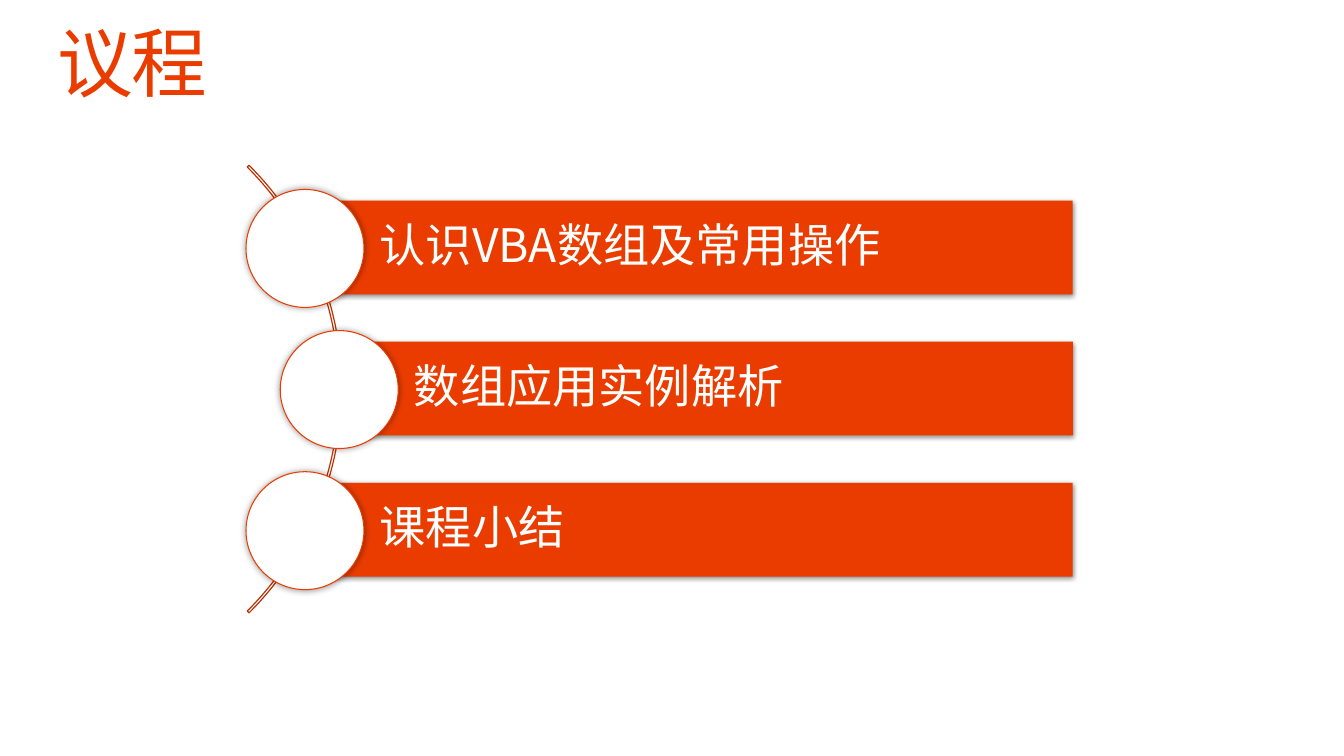
from lxml import etree
from pptx import Presentation
from pptx.dml.color import RGBColor
from pptx.enum.shapes import MSO_SHAPE
from pptx.enum.text import MSO_ANCHOR, PP_ALIGN
from pptx.oxml.ns import qn
from pptx.util import Inches, Pt

RECTANGLE = MSO_SHAPE.RECTANGLE
OVAL = MSO_SHAPE.OVAL
BLOCK_ARC = MSO_SHAPE.BLOCK_ARC
MIDDLE = MSO_ANCHOR.MIDDLE
LEFT = PP_ALIGN.LEFT

ORANGE = "EB3C00"
DARK_ORANGE = "BC3000"
WHITE = "FFFFFF"
BLACK = "000000"
TITLE_FONT = "Lato"
BODY_FONT = "Noto Sans CJK SC"

TOPICS = ["认识VBA数组及常用操作", "数组应用实例解析", "课程小结"]
TOPIC_STEP = 1.4
CIRCLE_LEFTS = [2.44, 2.78, 2.44]
CIRCLE_TOP = 1.88
CIRCLE_SIZE = 1.17
BAR_TOP = 1.99
BAR_RIGHT = 10.64
BAR_HEIGHT = 0.93


def color(value):
    return RGBColor.from_string(value)


class AgendaPage:
    def __init__(self, deck):
        self.page = deck.slides.add_slide(deck.slide_layouts[6])

    def label(self, shape, text, font, size, fill, insets, spacing=0):
        frame = shape.text_frame
        frame.word_wrap = True
        frame.vertical_anchor = MIDDLE
        (frame.margin_left, frame.margin_top,
         frame.margin_right, frame.margin_bottom) = map(Inches, insets)
        para = frame.paragraphs[0]
        para.text = text
        para.alignment = LEFT
        para.line_spacing = 0.9
        para.font.name = font
        para.font.size = Pt(size)
        para.font.color.rgb = color(fill)
        properties = para._p.pPr.find(qn("a:defRPr"))
        etree.SubElement(properties, qn("a:ea"), typeface=BODY_FONT)
        if spacing:
            properties.set("spc", str(spacing * 100))

    def title(self, text):
        box = self.page.shapes.add_textbox(
            Inches(0.57), Inches(0.25), Inches(12.19), Inches(0.82))
        self.label(box, text, TITLE_FONT, 54, ORANGE, [0, 0, 0, 0], -1)

    def shape(self, kind, left, top, width, height, fill=None, line=None, weight=0.75):
        shape = self.page.shapes.add_shape(
            kind, Inches(left), Inches(top), Inches(width), Inches(height))
        shape.shadow.inherit = False
        if fill:
            shape.fill.solid()
            shape.fill.fore_color.rgb = color(fill)
        else:
            shape.fill.background()
        if line:
            shape.line.color.rgb = color(line)
            shape.line.width = Pt(weight)
        else:
            shape.line.fill.background()
        return shape

    def shadow(self, shape, opacity, blur, distance):
        effects = shape._element.spPr.find(qn("a:effectLst"))
        outer = etree.SubElement(
            effects, qn("a:outerShdw"), blurRad=str(Pt(blur)), dist=str(Pt(distance)),
            dir="5400000", algn="ctr", rotWithShape="0")
        tone = etree.SubElement(outer, qn("a:srgbClr"), val=BLACK)
        etree.SubElement(tone, qn("a:alpha"), val=str(opacity * 1000))

    def arc(self):
        arc = self.shape(BLOCK_ARC, -2.89, 0.72, 6.28, 6.28, line=DARK_ORANGE, weight=0.85)
        for index, value in enumerate([189, 27, 0.004]):
            arc.adjustments[index] = value

    def topic(self, text, circle_left, offset):
        bar_left = circle_left + CIRCLE_SIZE / 2
        bar = self.shape(RECTANGLE, bar_left, BAR_TOP + offset,
                         BAR_RIGHT - bar_left, BAR_HEIGHT, ORANGE)
        self.shadow(bar, 45, 3.5, 1.1)
        self.label(bar, text, BODY_FONT, 33, WHITE, [0.74, 0.09, 0.09, 0.09])
        circle = self.shape(OVAL, circle_left, CIRCLE_TOP + offset,
                            CIRCLE_SIZE, CIRCLE_SIZE, WHITE, ORANGE)
        self.shadow(circle, 40, 5, 0)


def main():
    deck = Presentation()
    deck.slide_width = Inches(13.33)
    deck.slide_height = Inches(7.5)
    agenda = AgendaPage(deck)
    agenda.title("议程")
    agenda.arc()
    for index, (text, circle_left) in enumerate(zip(TOPICS, CIRCLE_LEFTS)):
        agenda.topic(text, circle_left, index * TOPIC_STEP)
    deck.save("out.pptx")


if __name__ == "__main__":
    main()
